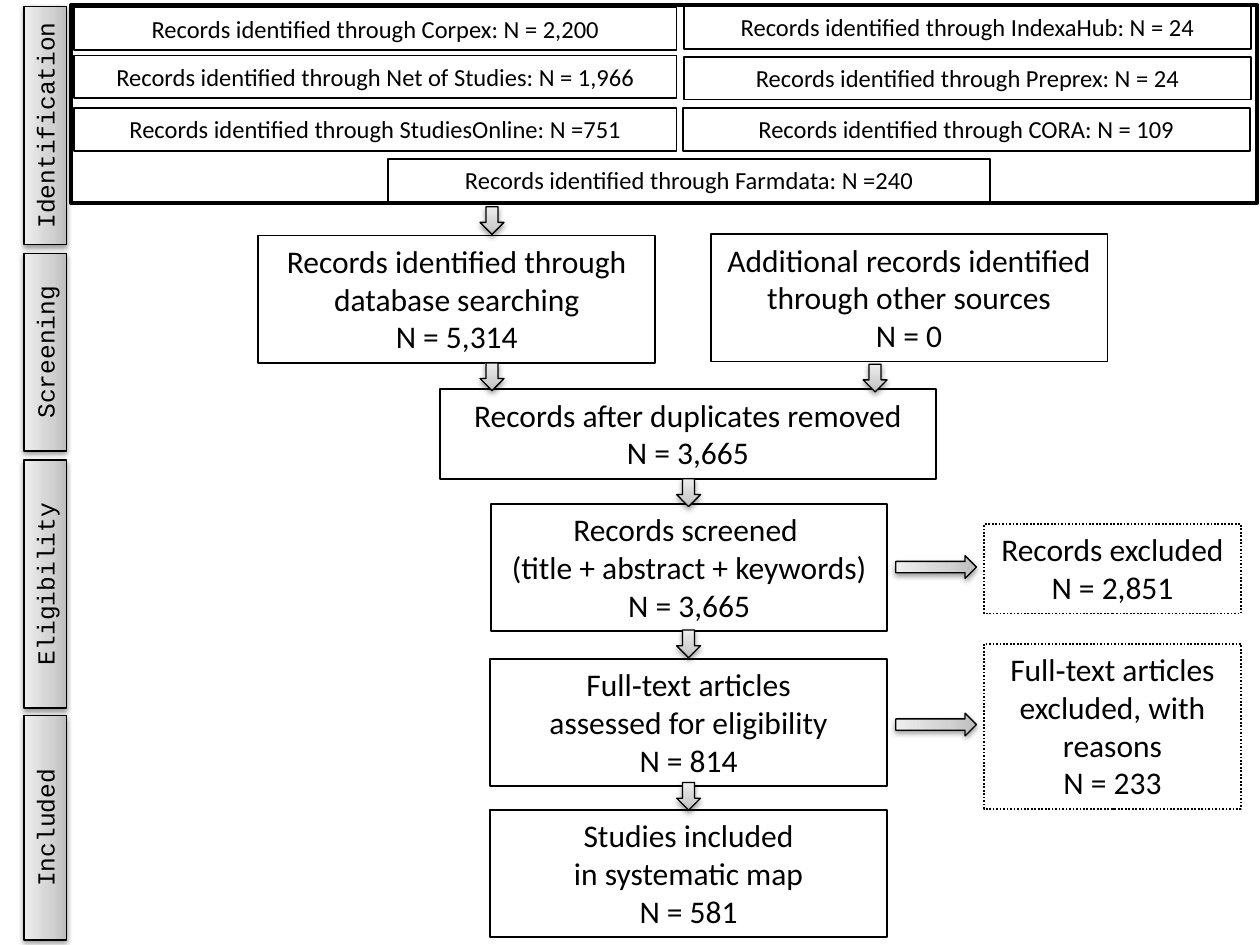
from lxml import etree
from pptx import Presentation
from pptx.dml.color import RGBColor
from pptx.enum import dml, shapes, text
from pptx.oxml import parse_xml
from pptx.oxml.ns import nsdecls
from pptx.util import Inches, Pt

COLORS = {"ink": "000000", "dark": "BDBDBD", "mid": "D1D1D1", "light": "EEEEEE"}
BODY, MONO = "Calibri", "Courier New"
BAR = 0.34  # height of every one-line box

# Phase, top, length along the left edge
PHASES = [("Identification", 0.05, 1.89), ("Screening", 2.01, 1.57),
          ("Eligibility", 3.65, 1.97), ("Included", 5.68, 1.78)]

# Database, count as shown, left, top, width
SOURCES = [("Corpex", "= 2,200", 0.59, 0.06, 4.78),
           ("Net of Studies", "= 1,966", 0.59, 0.44, 4.78),
           ("StudiesOnline", "=751", 0.59, 0.86, 4.78),
           ("IndexaHub", "= 24", 5.43, 0.05, 4.5),
           ("Preprex", "= 24", 5.43, 0.45, 4.5),
           ("CORA", "= 109", 5.42, 0.86, 4.5),
           ("Farmdata", "=240", 3.08, 1.26, 4.78)]

# Lines of text, box (left, top, width, height)
STEPS = [
    (["Records identified through database searching", "N = 5,314"],
     (2.05, 1.87, 3.15, 1.01)),
    (["Additional records identified through other sources", "N = 0"],
     (5.64, 1.86, 3.15, 1.01)),
    (["Records after duplicates removed", "N = 3,665"],
     (3.49, 3.09, 3.94, 0.71)),
    (["Records screened ", "(title + abstract + keywords)", "N = 3,665"],
     (3.9, 4, 3.14, 1.01)),
    (["Full\u2010text articles", "assessed for eligibility", "N = 814"],
     (3.89, 5.23, 3.15, 1.01)),
    (["Studies included", "in systematic map", "N = 581"],
     (3.89, 6.43, 3.15, 1.01)),
]
DROPPED = [
    (["Records excluded", "N = 2,851"], (7.81, 4.16, 2.04, 0.71)),
    (["Full\u2010text articles", "excluded, with reasons", "N = 233"],
     (7.81, 5.11, 2.04, 1.31)),
]
DOWN = [(3.81, 1.64), (3.81, 2.88), (6.85, 2.89),
        (5.37, 3.8), (5.37, 5), (5.37, 6.21)]
ACROSS = [(7.34, 4.18), (7.34, 5.43)]

prs = Presentation()
prs.slide_width, prs.slide_height = Inches(10), Inches(7.5)
slide = prs.slides.add_slide(prs.slide_layouts[6])


def add_box(box, weight=1, kind=shapes.MSO_SHAPE.RECTANGLE):
    """Add an unfilled, black-lined shape."""
    shape = slide.shapes.add_shape(kind, *(Inches(n) for n in box))
    shape.shadow.inherit = False
    shape.fill.background()
    shape.line.color.rgb = RGBColor.from_string(COLORS["ink"])
    shape.line.width = Pt(weight)
    return shape


def write(shape, lines, size, font=BODY):
    """Put centred paragraphs into a shape."""
    frame = shape.text_frame
    frame.text = "\n".join(lines)
    frame.word_wrap = True
    frame.vertical_anchor = text.MSO_ANCHOR.TOP
    frame.auto_size = text.MSO_AUTO_SIZE.SHAPE_TO_FIT_TEXT
    for para in frame.paragraphs:
        para.alignment = text.PP_ALIGN.CENTER
        for run in para.runs:
            run.font.size, run.font.name = Pt(size), font
            run.font.color.rgb = RGBColor.from_string(COLORS["ink"])


def shade(shape):
    """Give a shape the grey gradient and a soft shadow."""
    stops = "".join(
        f'<a:gs pos="{pos}"><a:srgbClr val="{COLORS[name]}"/></a:gs>'
        for pos, name in [(0, "dark"), (35000, "mid"), (100000, "light")])
    grad = parse_xml(
        f'<a:gradFill {nsdecls("a")} rotWithShape="1"><a:gsLst>{stops}</a:gsLst>'
        '<a:lin ang="16200000" scaled="1"/></a:gradFill>')
    props = shape._element.spPr
    props.replace(props.find("{*}noFill"), grad)
    glow = etree.fromstring(
        f'<a:outerShdw {nsdecls("a")} blurRad="40000" dist="20000" dir="5400000" '
        f'rotWithShape="0"><a:srgbClr val="{COLORS["ink"]}">'
        '<a:alpha val="38000"/></a:srgbClr></a:outerShdw>')
    props.find("{*}effectLst").append(glow)


def add_arrow(box, turn=0):
    """Add a shaded block arrow."""
    arrow = add_box(box, 0.75, shapes.MSO_SHAPE.DOWN_ARROW)
    arrow.rotation = turn
    shade(arrow)


for lines, box in STEPS:
    write(add_box(box), lines, 18)

for lines, box in DROPPED:
    shape = add_box(box)
    shape.line.dash_style = dml.MSO_LINE.ROUND_DOT
    write(shape, lines, 18)

for name, top, length in PHASES:
    left = 0.36 - length / 2
    tab = add_box((left, top + (length - BAR) / 2, length, BAR), 0.75)
    tab.rotation = 270
    shade(tab)
    write(tab, [name], 14, MONO)

for name, count, left, top, width in SOURCES:
    label = f"Records identified through {name}: N {count}"
    write(add_box((left, top, width, BAR)), [label], 14)

for left, top in DOWN:
    add_arrow((left, top, 0.19, 0.22))
for left, top in ACROSS:
    add_arrow((left, top, 0.18, 0.64), 270)

add_box((0.56, 0.04, 9.42, 1.57), 2.25)

prs.save("out.pptx")
